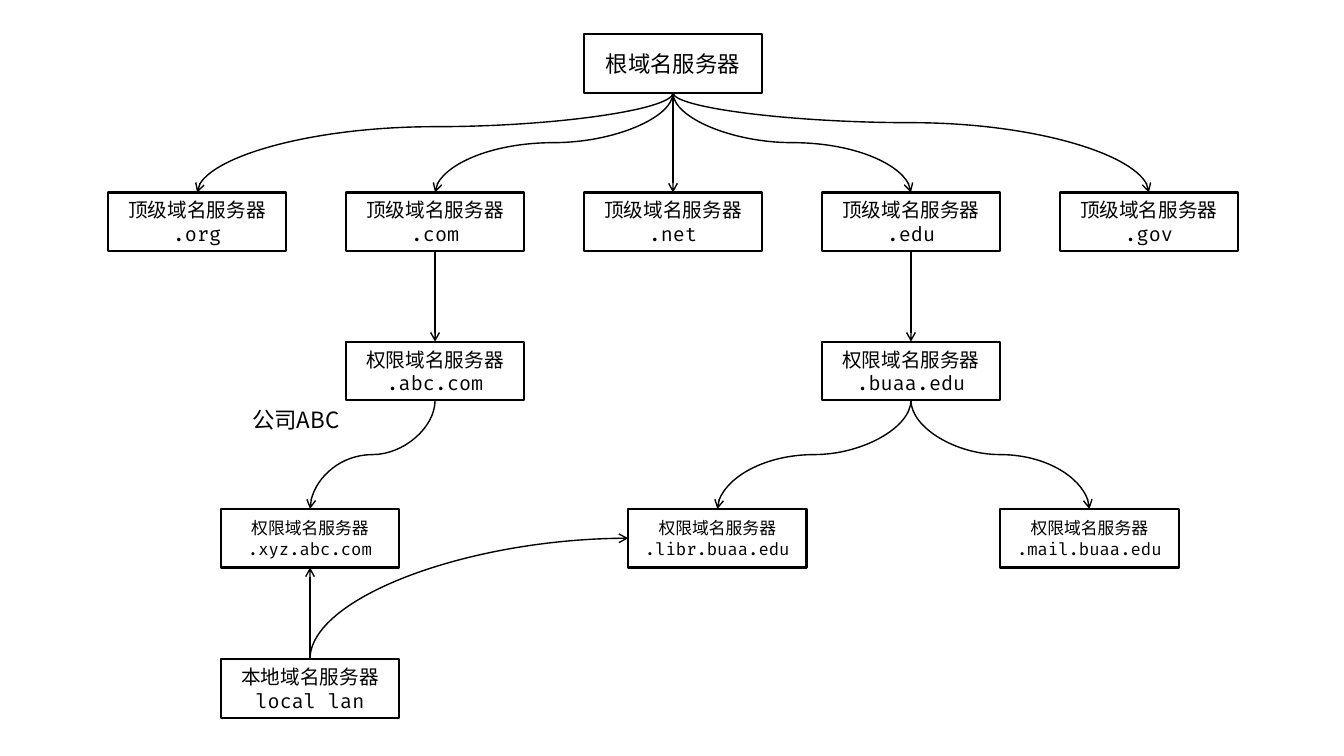
from dataclasses import dataclass

from lxml import etree
from pptx import Presentation
from pptx.dml.color import RGBColor
from pptx.enum.shapes import MSO_CONNECTOR, MSO_SHAPE
from pptx.enum.text import MSO_ANCHOR, MSO_AUTO_SIZE, PP_ALIGN
from pptx.oxml.ns import qn
from pptx.util import Inches, Pt

RECT = MSO_SHAPE.RECTANGLE
STRAIGHT, CURVE = MSO_CONNECTOR.STRAIGHT, MSO_CONNECTOR.CURVE
CENTER, MIDDLE = PP_ALIGN.CENTER, MSO_ANCHOR.MIDDLE
GROW = MSO_AUTO_SIZE.SHAPE_TO_FIT_TEXT
TOP, LEFT, BOTTOM = 0, 1, 2


@dataclass(frozen=True)
class Theme:
    ink: RGBColor = RGBColor(0, 0, 0)
    code_font: str = "Fira Code"
    label_font: str = "Noto Sans CJK SC"
    large: int = 16
    medium: int = 14
    small: int = 12
    border: float = 1.5
    link: float = 1


THEME = Theme()
NODE_W, NODE_H = 1.77, 0.58
COLUMN_STEP = 2.36


def write(tf, lines, size, font):
    tf.word_wrap = True
    for i, line in enumerate(lines):
        p = tf.paragraphs[0] if i == 0 else tf.add_paragraph()
        p.text = line
        p.alignment = CENTER
        p.font.size = Pt(size)
        p.font.name = font
        p.font.color.rgb = THEME.ink


def add_server(slide, x, y, lines, size=THEME.medium):
    sp = slide.shapes.add_shape(RECT, Inches(x), Inches(y), Inches(NODE_W), Inches(NODE_H))
    sp.shadow.inherit = False
    sp.fill.background()
    sp.line.color.rgb = THEME.ink
    sp.line.width = Pt(THEME.border)
    sp.text_frame.vertical_anchor = MIDDLE
    write(sp.text_frame, lines, size, THEME.code_font)
    return sp


def add_link(slide, kind, start, start_side, end, end_side):
    cxn = slide.shapes.add_connector(kind, 0, 0, 0, 0)
    cxn.begin_connect(start, start_side)
    cxn.end_connect(end, end_side)
    cxn.line.color.rgb = THEME.ink
    cxn.line.width = Pt(THEME.link)
    etree.SubElement(cxn.line._get_or_add_ln(), qn("a:tailEnd"), type="arrow")
    etree.SubElement(cxn._element.spPr, qn("a:effectLst"))
    return cxn


def turn(cxn, degrees, flip_h, flip_v):
    """Swap the sides of the connector's box about its centre and rotate it."""
    x, y, w, h = cxn.left, cxn.top, cxn.width, cxn.height
    cxn.left, cxn.top = x + (w - h) // 2, y + (h - w) // 2
    cxn.width, cxn.height = h, w
    xfrm = cxn._element.spPr.find(qn("a:xfrm"))
    xfrm.set("rot", str(degrees * 60000))
    xfrm.set("flipH", str(int(flip_h)))
    xfrm.set("flipV", str(int(flip_v)))


def link_down(slide, parent, child, bend=0.5):
    """Arrow from the parent's bottom to the child's top, curved if they are not aligned."""
    if parent.left == child.left:
        add_link(slide, STRAIGHT, parent, BOTTOM, child, TOP)
        return
    cxn = add_link(slide, CURVE, parent, BOTTOM, child, TOP)
    to_right = child.left > parent.left
    turn(cxn, 270 if to_right else 90, to_right, False)
    guides = cxn._element.spPr.find(qn("a:prstGeom")).get_or_add_avLst()
    etree.SubElement(guides, qn("a:gd"), name="adj1", fmla=f"val {round(bend * 100000)}")


def link_up_right(slide, start, end):
    """Quarter curve from the top of one server to the left side of another."""
    cxn = add_link(slide, CURVE, start, TOP, end, LEFT)
    cxn._element.spPr.find(qn("a:prstGeom")).set("prst", "curvedConnector2")
    turn(cxn, 90, True, True)


def draw_top_levels(slide, x, y):
    """Root server above a row of top-level servers; returns the row by domain."""
    root = add_server(slide, x + 2 * COLUMN_STEP, y, ["根域名服务器"], THEME.large)
    bends = {".org": 0.34, ".com": 0.5, ".net": 0.5, ".edu": 0.5, ".gov": 0.3}
    row = {}
    for i, (domain, bend) in enumerate(bends.items()):
        row[domain] = add_server(slide, x + i * COLUMN_STEP, y + 1.57, ["顶级域名服务器", domain])
        link_down(slide, root, row[domain], bend)
    return row


def draw_zone(slide, x, y, parent, domain, hosts):
    """Authoritative server with its sub-servers, given as name and offset from x."""
    zone = add_server(slide, x, y, ["权限域名服务器", domain])
    link_down(slide, parent, zone)
    servers = []
    for name, offset in hosts:
        sp = add_server(slide, x + offset, y + 1.66, ["权限域名服务器", name], THEME.small)
        link_down(slide, zone, sp)
        servers.append(sp)
    return servers


def draw_company_label(slide, x, y):
    box = slide.shapes.add_textbox(Inches(x), Inches(y), Inches(1.21), Inches(0.37))
    box.text_frame.auto_size = GROW
    write(box.text_frame, ["公司ABC"], THEME.large, THEME.label_font)


def draw_local(slide, x, y, company_host, library_host):
    """Local server pointing up to the two servers it queries."""
    local = add_server(slide, x, y, ["本地域名服务器", "local lan"])
    add_link(slide, STRAIGHT, local, TOP, company_host, BOTTOM)
    link_up_right(slide, local, library_host)


def main():
    prs = Presentation()
    prs.slide_width, prs.slide_height = Inches(13.33), Inches(7.5)
    slide = prs.slides.add_slide(prs.slide_layouts[6])

    left = 1.07
    com_x, edu_x = left + COLUMN_STEP, left + 3 * COLUMN_STEP
    top_levels = draw_top_levels(slide, left, 0.34)

    # Company and university zones
    company = draw_zone(slide, com_x, 3.39, top_levels[".com"], ".abc.com",
                        [(".xyz.abc.com", -1.24)])
    university = draw_zone(slide, edu_x, 3.39, top_levels[".edu"], ".buaa.edu",
                           [(".libr.buaa.edu", -1.92), (".mail.buaa.edu", 1.77)])
    draw_company_label(slide, 2.33, 3.98)

    # Local network
    draw_local(slide, com_x - 1.24, 6.54, company[0], university[0])
    prs.save("out.pptx")


if __name__ == "__main__":
    main()
